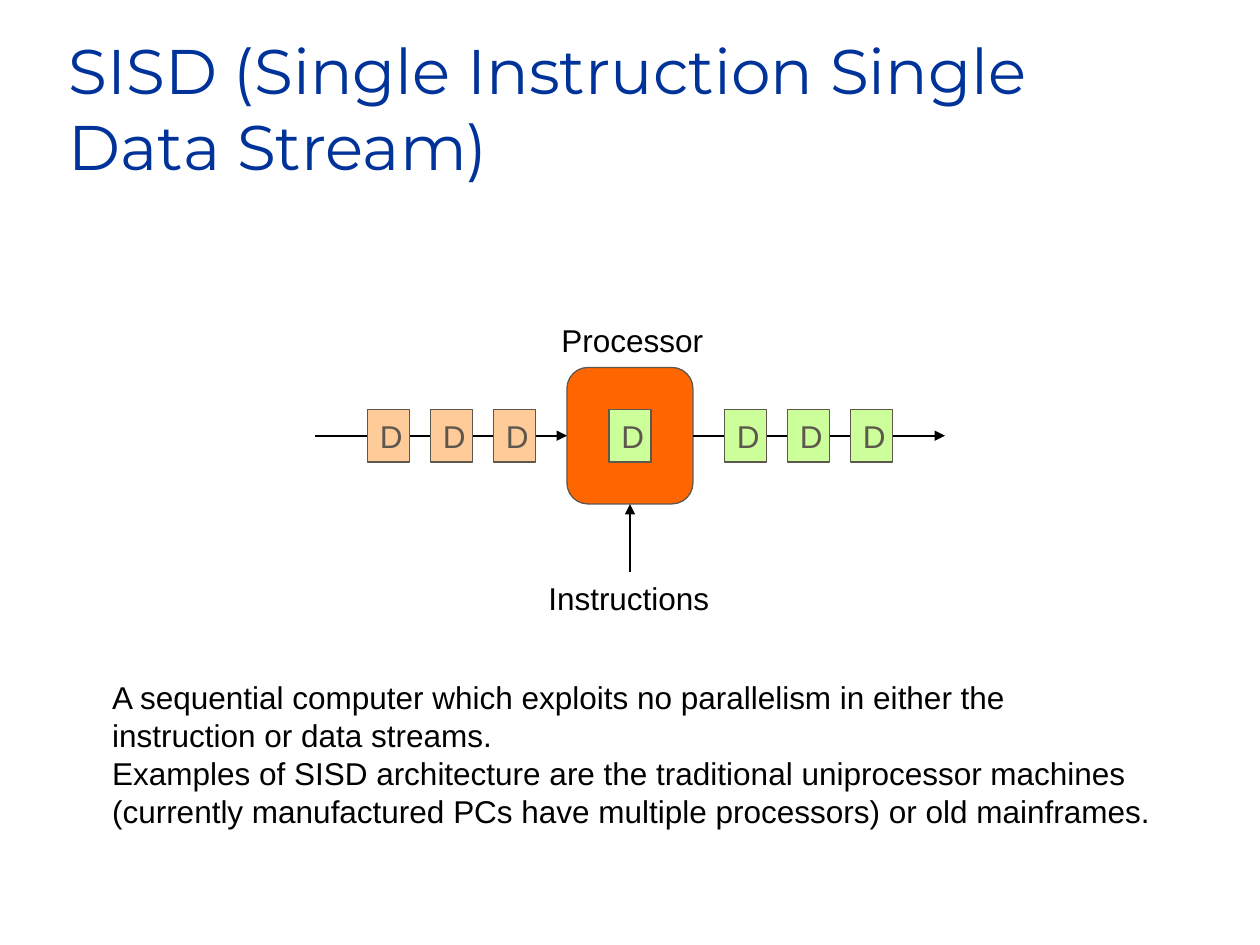
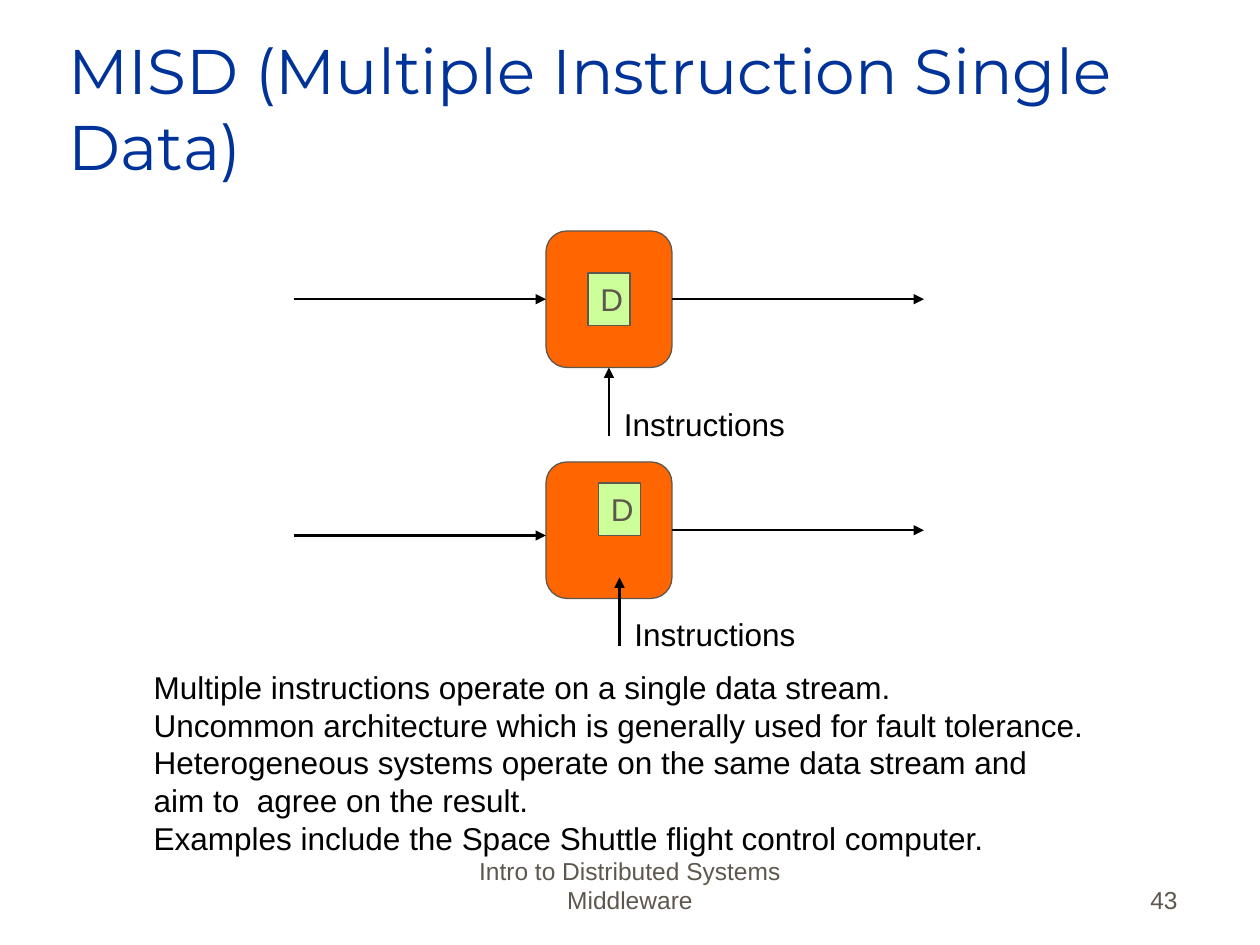
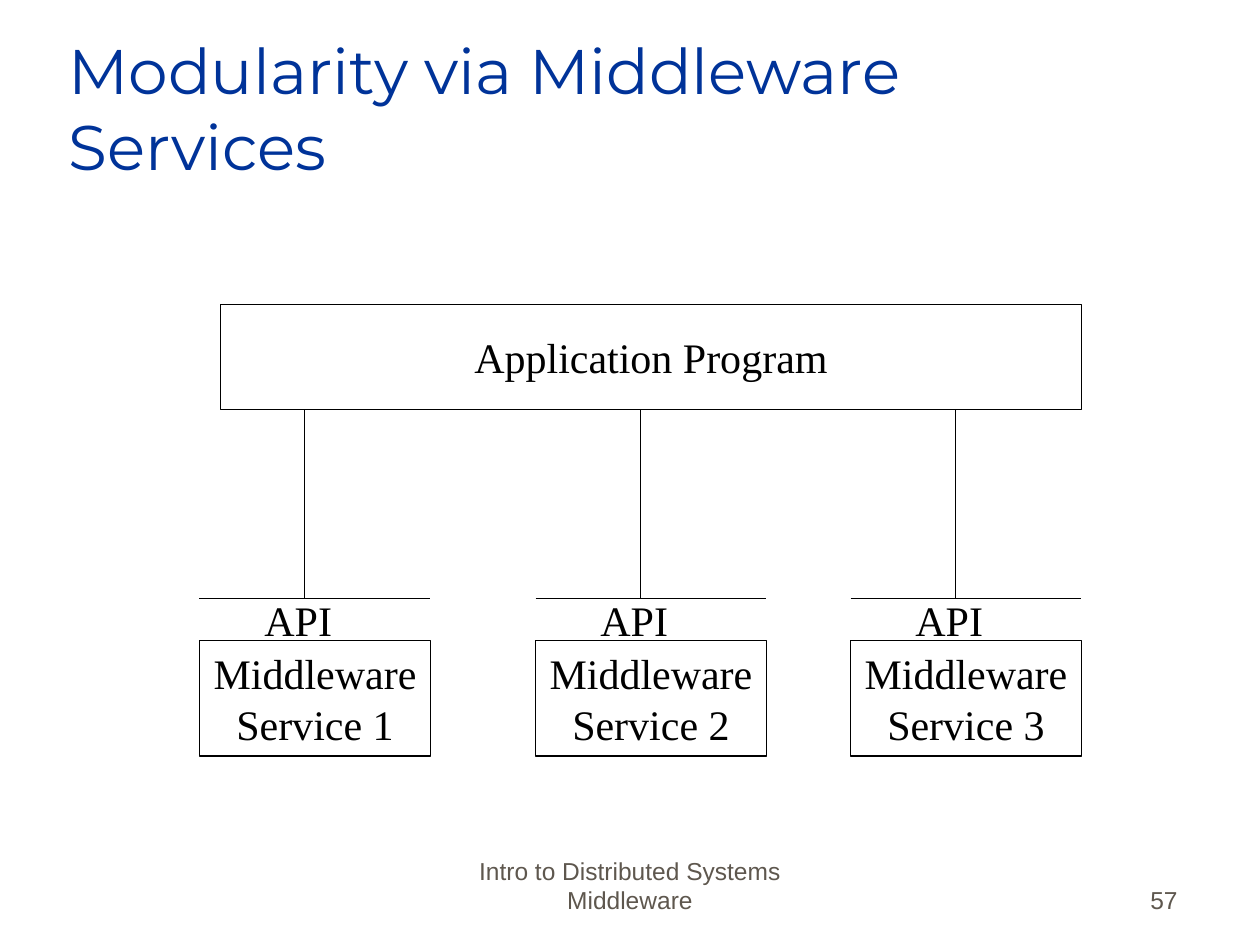
"""Build three slides on computer architectures and middleware services."""
from lxml.etree import SubElement
from pptx import Presentation
from pptx.dml.color import RGBColor
from pptx.enum.shapes import MSO_CONNECTOR, MSO_SHAPE
from pptx.enum.text import MSO_ANCHOR, MSO_AUTO_SIZE, PP_ALIGN
from pptx.oxml.ns import qn
from pptx.util import Pt

BLUE = RGBColor(0x00, 0x33, 0x99)
GRAY = RGBColor(0x5E, 0x57, 0x4E)
ORANGE = RGBColor(0xFF, 0x66, 0x00)
PEACH = RGBColor(0xFF, 0xCC, 0x99)
GREEN = RGBColor(0xCC, 0xFF, 0x99)
BLACK = RGBColor(0x00, 0x00, 0x00)
WHITE = RGBColor(0xFF, 0xFF, 0xFF)


def add_text(shapes, text, left, top, width, height, kind=None, fill=None, line=None,
             size=18, font="Arial", color=BLACK, align=PP_ALIGN.LEFT,
             anchor=MSO_ANCHOR.TOP, wrap=False):
    """Add a text box, or a filled and outlined shape when a kind is given."""
    box = Pt(left), Pt(top), Pt(width), Pt(height)
    if kind is None:
        shape = shapes.add_textbox(*box)
    else:
        shape = shapes.add_shape(kind, *box)
        shape.shadow.inherit = False
        shape.fill.solid()
        shape.fill.fore_color.rgb = fill
        shape.line.color.rgb = line
        shape.line.width = Pt(0.75)
    frame = shape.text_frame
    frame.text = text
    frame.word_wrap = wrap
    frame.vertical_anchor = anchor
    for paragraph in frame.paragraphs:
        paragraph.alignment = align
        paragraph.font.size = Pt(size)
        paragraph.font.name = font
        paragraph.font.color.rgb = color
    return shape


def add_line(shapes, start_x, start_y, end_x, end_y, width=0.75, arrow=False):
    """Add a black straight connector, with an arrowhead at its end on request."""
    connector = shapes.add_connector(
        MSO_CONNECTOR.STRAIGHT, Pt(start_x), Pt(start_y), Pt(end_x), Pt(end_y))
    connector.line.color.rgb = BLACK
    connector.line.width = Pt(width)
    if arrow:
        SubElement(connector.line._get_or_add_ln(), qn("a:tailEnd"), type="triangle")
    SubElement(connector._element.spPr, qn("a:effectLst"))
    return connector


presentation = Presentation()
presentation.slide_width = Pt(720)
presentation.slide_height = Pt(540)

slides = []
for title_text, number in [
    ("SISD (Single Instruction Single Data Stream)", None),
    ("MISD (Multiple Instruction Single Data)", "43"),
    ("Modularity via Middleware Services", "57"),
]:
    slide = presentation.slides.add_slide(presentation.slide_layouts[5])
    slides.append(slide)
    title = slide.shapes.title
    title.left, title.top, title.width, title.height = Pt(32), Pt(18), Pt(612), Pt(90)
    title.text_frame.text = title_text
    title.text_frame.auto_size = MSO_AUTO_SIZE.NONE
    title.text_frame.vertical_anchor = MSO_ANCHOR.BOTTOM
    paragraph = title.text_frame.paragraphs[0]
    paragraph.alignment = PP_ALIGN.LEFT
    paragraph.font.size = Pt(36)
    paragraph.font.name = "Montserrat"
    paragraph.font.color.rgb = BLUE
    if number:
        footer_format = dict(size=14, color=GRAY, anchor=MSO_ANCHOR.BOTTOM, wrap=True)
        add_text(slide.shapes, "Intro to Distributed Systems Middleware",
                 246, 490.25, 228, 36, align=PP_ALIGN.CENTER, **footer_format)
        add_text(slide.shapes, number, 530, 490.25, 150, 36,
                 align=PP_ALIGN.RIGHT, **footer_format)

sisd, misd, modularity = [slide.shapes for slide in slides]
processor_format = dict(kind=MSO_SHAPE.ROUNDED_RECTANGLE, fill=ORANGE, line=GRAY)
data_format = dict(kind=MSO_SHAPE.RECTANGLE, line=GRAY, color=GRAY, wrap=True,
                   align=PP_ALIGN.CENTER, anchor=MSO_ANCHOR.MIDDLE)
arrow_format = dict(width=1.25, arrow=True)

processor = add_text(sisd, "", 324, 210, 72, 78, **processor_format)
add_line(sisd, 180, 249, 324, 249, **arrow_format).end_connect(processor, 1)
add_line(sisd, 396, 249, 540, 249, **arrow_format).begin_connect(processor, 3)
add_line(sisd, 360, 327, 360, 288, **arrow_format).end_connect(processor, 2)
for first_left, count, fill in [(210, 3, PEACH), (348, 1, GREEN), (414, 3, GREEN)]:
    for index in range(count):
        add_text(sisd, "D", first_left + 36 * index, 234, 24, 30, fill=fill, **data_format)
add_text(sisd, "Processor", 313.75, 180, 97, 29)
add_text(sisd, "Instructions", 306.25, 327.5, 108, 29)
add_text(sisd, "A sequential computer which exploits no parallelism in either the\n"
         "instruction or data streams.\n"
         "Examples of SISD architecture are the traditional uniprocessor machines\n"
         "(currently manufactured PCs have multiple processors) or old mainframes.",
         57, 384, 609, 94)

for top, input_y, data_left, data_top, arrow_end in [
    (132, 171, 336, 156, 210),
    (264, 306, 342, 276, 330),
]:
    processor = add_text(misd, "", 312, top, 72, 78, **processor_format)
    input_arrow = add_line(misd, 168, input_y, 312, input_y, **arrow_format)
    output_arrow = add_line(misd, 384, top + 39, 528, top + 39, **arrow_format)
    output_arrow.begin_connect(processor, 3)
    add_text(misd, "D", data_left, data_top, 24, 30, fill=GREEN, **data_format)
    center = data_left + 12
    instruction_arrow = add_line(misd, center, arrow_end + 39, center, arrow_end, **arrow_format)
    if input_y == top + 39:
        input_arrow.end_connect(processor, 1)
        instruction_arrow.end_connect(processor, 2)
    add_text(misd, "Instructions", center + 1.5, arrow_end + 18, 108, 29)
add_text(misd, "Multiple instructions operate on a single data stream.\n"
         "Uncommon architecture which is generally used for fault tolerance.\n"
         "Heterogeneous systems operate on the same data stream and\n"
         "aim to  agree on the result.\n"
         "Examples include the Space Shuttle flight control computer.",
         80.75, 378, 552, 115)

serif_format = dict(size=24, font="Times New Roman")
block_format = dict(kind=MSO_SHAPE.RECTANGLE, fill=WHITE, line=BLACK,
                    align=PP_ALIGN.CENTER, anchor=MSO_ANCHOR.MIDDLE, **serif_format)
add_text(modularity, "Application Program", 126, 174, 492, 60, **block_format)
for service_number, left in enumerate([114, 306, 486], start=1):
    service = modularity.add_group_shape().shapes
    add_text(service, f"Middleware\nService {service_number}", left, 366, 132, 66, **block_format)
    add_text(service, "API", left + 30, 336, 55, 36, **serif_format)
    add_line(service, left, 342, left + 132, 342)
    add_line(modularity, left + 60, 342, left + 60, 234)

presentation.save("out.pptx")
